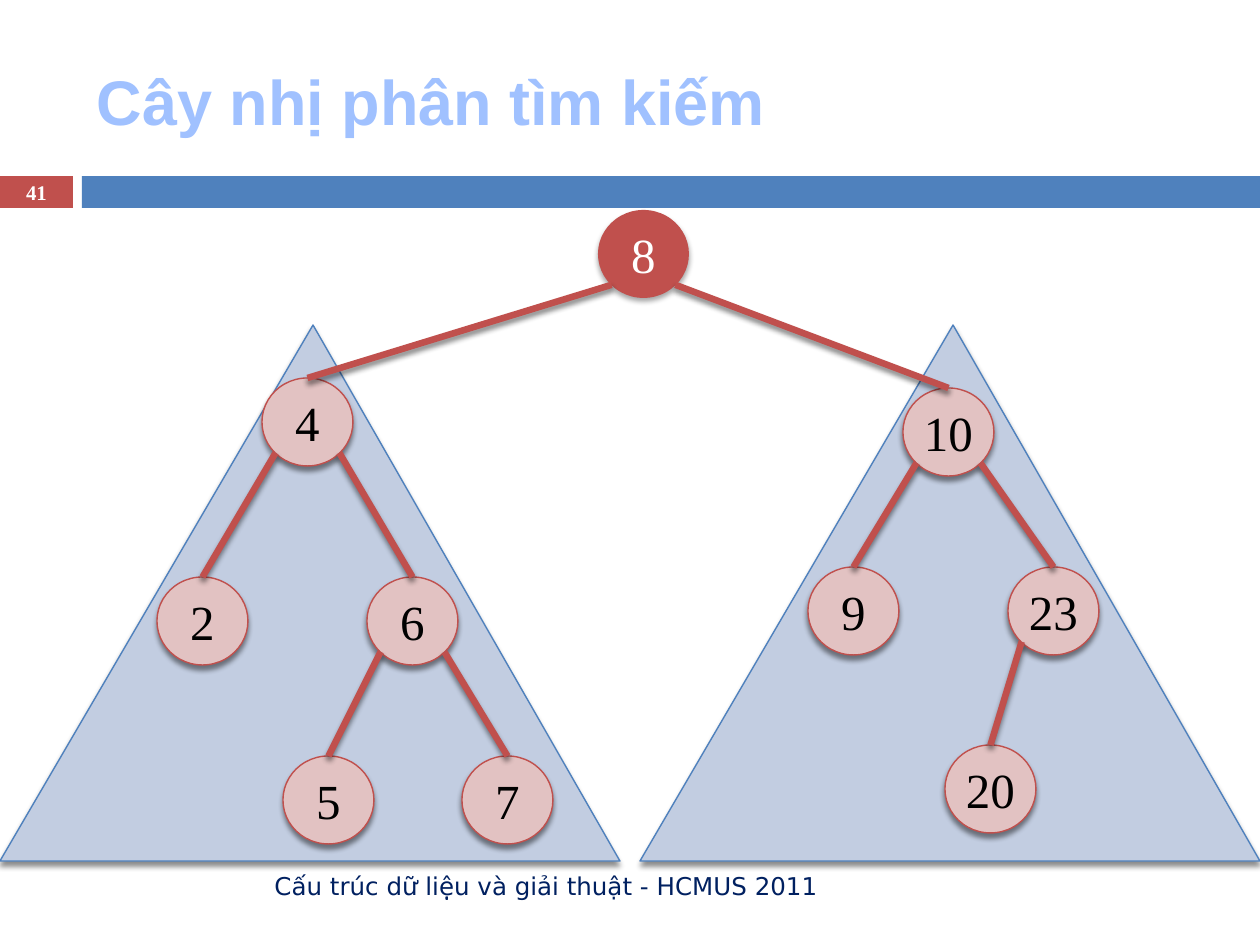
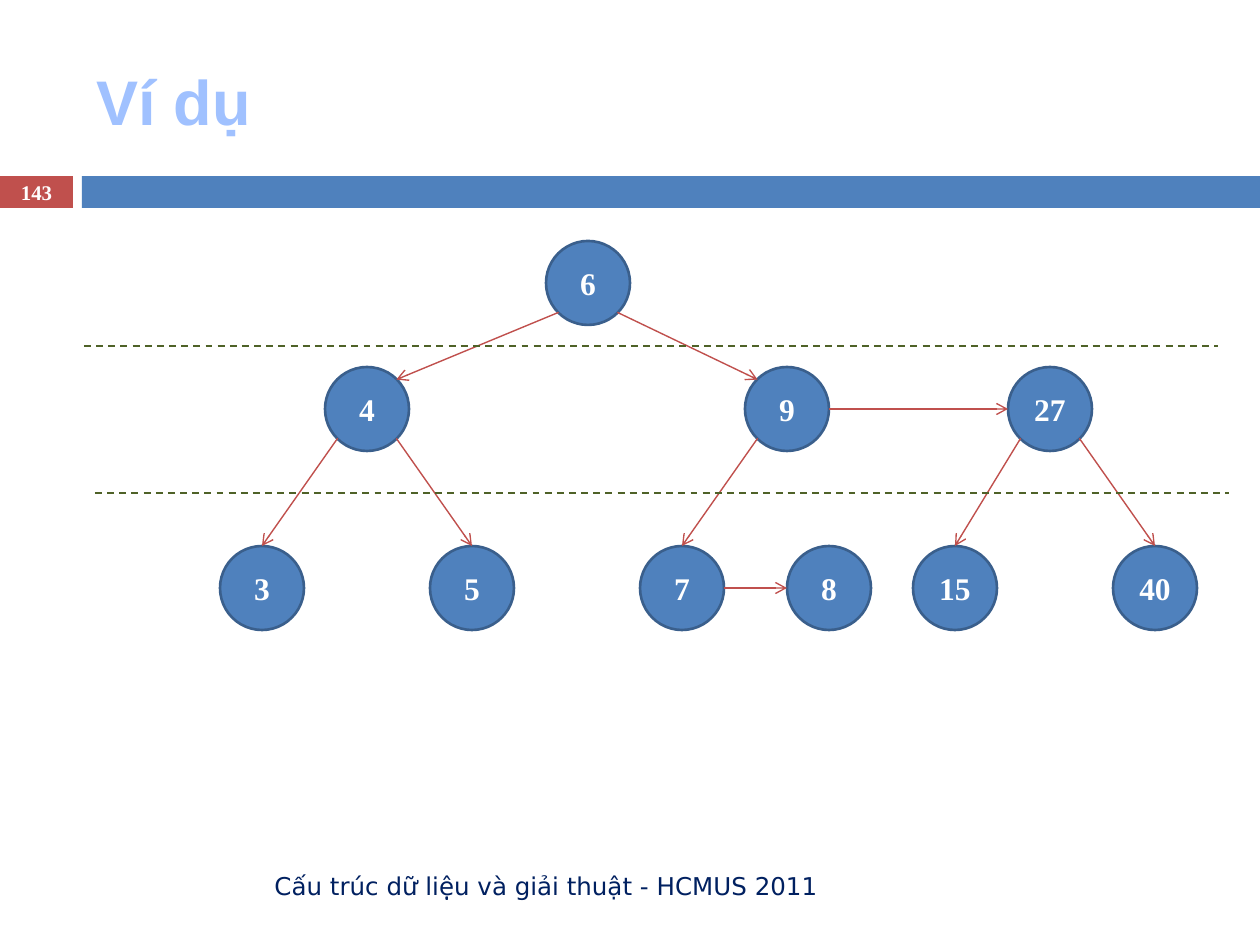
from dataclasses import dataclass

from lxml import etree
from pptx import Presentation, util as u
from pptx.dml.color import RGBColor
from pptx.enum import dml, shapes, text
from pptx.oxml.ns import qn

PX = 914400 / 126


@dataclass(frozen=True)
class Theme:
    red: str = "C0504D"
    blue: str = "4F81BD"
    navy: str = "002060"
    title: str = "A0C1FF"
    pale_red: str = "E2C2C2"
    pale_blue: str = "C2CDE1"
    dark_blue: str = "3A5F8C"
    green: str = "4F6228"
    white: str = "FFFFFF"
    black: str = "000000"
    serif: str = "Times New Roman"
    title_pt: float = 36
    footer_pt: float = 14
    number_pt: float = 11.9
    search_pt: float = 28
    level_pt: float = 18
    thin_pt: float = 0.79
    edge_pt: float = 3.75


T = Theme()
SHADOW = (45, 2.4)
ROOT_SHADOW = (35, 2)
SITES = {
    "T": (0.5, 0), "L": (0, 0.5), "R": (1, 0.5),
    "TL": (0.15, 0.15), "TR": (0.85, 0.15),
    "BL": (0.15, 0.85), "BR": (0.85, 0.85),
}


def put(s, kind, box, fill=None, line=None, shadow=None, label=None,
        size=None, color=T.white, font=T.serif, bold=False, align="CENTER", inset=0):
    at = [round(v * PX) for v in box]
    if kind is None:
        sp = s.shapes.add_textbox(*at)
    else:
        sp = s.shapes.add_shape(kind, *at)
        sp.shadow.inherit = False
        sp.fill.solid()
        sp.fill.fore_color.rgb = RGBColor.from_string(fill)
        if line:
            sp.line.color.rgb = RGBColor.from_string(line[0])
            sp.line.width = u.Pt(line[1])
        else:
            sp.line.fill.background()
    if shadow:
        cast(sp, *shadow)
    if label:
        tf = sp.text_frame
        tf.word_wrap = True
        tf.vertical_anchor = text.MSO_ANCHOR.MIDDLE
        tf.margin_left = tf.margin_right = round(inset * PX)
        p = tf.paragraphs[0]
        p.text = label
        p.alignment = text.PP_ALIGN[align]
        p.font.size = u.Pt(size)
        p.font.name = font
        p.font.bold = bold
        p.font.color.rgb = RGBColor.from_string(color)
    return sp


def cast(sp, alpha=0, distance=0):
    spPr = sp._element.spPr
    effects = spPr.find(qn("a:effectLst"))
    if effects is None:
        effects = etree.SubElement(spPr, qn("a:effectLst"))
    if alpha:
        outer = etree.SubElement(effects, qn("a:outerShdw"), blurRad=str(u.Pt(3)),
                                 dist=str(u.Pt(distance)), dir="5400000", rotWithShape="0")
        clr = etree.SubElement(outer, qn("a:srgbClr"), val=T.black)
        etree.SubElement(clr, qn("a:alpha"), val=str(alpha * 1000))


prs = Presentation()
prs.slide_width, prs.slide_height = round(1260 * PX), round(945 * PX)
OVAL = shapes.MSO_SHAPE.OVAL
RECT = shapes.MSO_SHAPE.RECTANGLE
STRAIGHT = shapes.MSO_CONNECTOR.STRAIGHT

search_tree = {
    "8": (598, 210), "4": (262, 378), "10": (903, 388), "9": (808, 567),
    "2": (157, 577), "5": (283, 756), "7": (462, 756), "6": (367, 577),
    "23": (1008, 567), "20": (945, 745),
}
search_edges = [
    ("8", "BL", "4", "T"), ("8", "BR", "10", "T"), ("10", "BL", "9", "T"),
    ("4", "BL", "2", "T"), ("6", "BL", "5", "T"), ("6", "BR", "7", "T"),
    ("4", "BR", "6", "T"), ("10", "BR", "23", "T"), ("23", "BL", "20", "T"),
]
level_tree = {
    "6": (546, 241), "9": (745, 367), "3": (220, 546), "4": (325, 367),
    "5": (430, 546), "7": (640, 546), "27": (1008, 367), "15": (913, 546),
    "8": (787, 546), "40": (1113, 546),
}
level_edges = [
    ("6", "BL", "4", "TR"), ("6", "BR", "9", "TL"), ("4", "BL", "3", "T"),
    ("4", "BR", "5", "T"), ("9", "BL", "7", "T"), ("9", "R", "27", "L"),
    ("27", "BL", "15", "T"), ("7", "R", "8", "L"), ("27", "BR", "40", "T"),
]
pages = [
    ("Cây nhị phân tìm kiếm", "41", search_tree, search_edges),
    ("Ví dụ", "143", level_tree, level_edges),
]

for title, number, tree, edges in pages:
    s = prs.slides.add_slide(prs.slide_layouts[6])
    searching = tree is search_tree
    put(s, RECT, (0, 176, 73, 32), T.red)
    put(s, RECT, (82, 176, 1178, 32), T.blue)
    put(s, None, (84, 32, 1124, 136), label=title, size=T.title_pt, color=T.title,
        font="Arial", bold=True, align="LEFT", inset=13)
    put(s, None, (84, 861, 747, 50), label="Cấu trúc dữ liệu và giải thuật - HCMUS 2011",
        size=T.footer_pt, color=T.navy, font="DejaVu Sans", align="RIGHT", inset=13)
    put(s, None, (0, 175, 73, 34), label=number, size=T.number_pt, bold=True)

    if searching:
        for x in (640, 0):
            sp = put(s, shapes.MSO_SHAPE.ISOSCELES_TRIANGLE, (x, 325, 620, 536),
                     T.pale_blue, (T.blue, T.thin_pt), SHADOW)
            sp.adjustments[0] = 0.505

    nodes = {}
    for key, (x, y) in tree.items():
        if not searching:
            nodes[key] = put(s, OVAL, (x, y, 84, 84), T.blue, (T.dark_blue, 1.5),
                             label=key, size=T.level_pt, bold=True)
        elif key == "8":
            nodes[key] = put(s, OVAL, (x, y, 91, 88), T.red, None, ROOT_SHADOW,
                             label=key, size=T.search_pt)
        else:
            nodes[key] = put(s, OVAL, (x, y, 91, 88), T.pale_red, (T.red, T.thin_pt),
                             SHADOW, label=key, size=T.search_pt, color=T.black)

    for parent, start, child, end in edges:
        ends = []
        for sp, site in ((nodes[parent], start), (nodes[child], end)):
            fx, fy = SITES[site]
            ends += [round(sp.left + fx * sp.width), round(sp.top + fy * sp.height)]
        c = s.shapes.add_connector(STRAIGHT, *ends)
        if end == "T":
            c.end_connect(nodes[child], 0)
        c.line.color.rgb = RGBColor.from_string(T.red)
        c.line.width = u.Pt(T.edge_pt if searching else T.thin_pt)
        if searching:
            cast(c, *SHADOW)
        else:
            etree.SubElement(c.line._ln, qn("a:tailEnd"), type="arrow")
            cast(c)

    if not searching:
        for x, y in ((95, 493), (84, 346)):
            c = s.shapes.add_connector(STRAIGHT, *[round(v * PX) for v in (x, y, x + 1134, y)])
            c.line.color.rgb = RGBColor.from_string(T.green)
            c.line.width = u.Pt(1)
            c.line.dash_style = dml.MSO_LINE.DASH
            cast(c)

prs.save("out.pptx")
